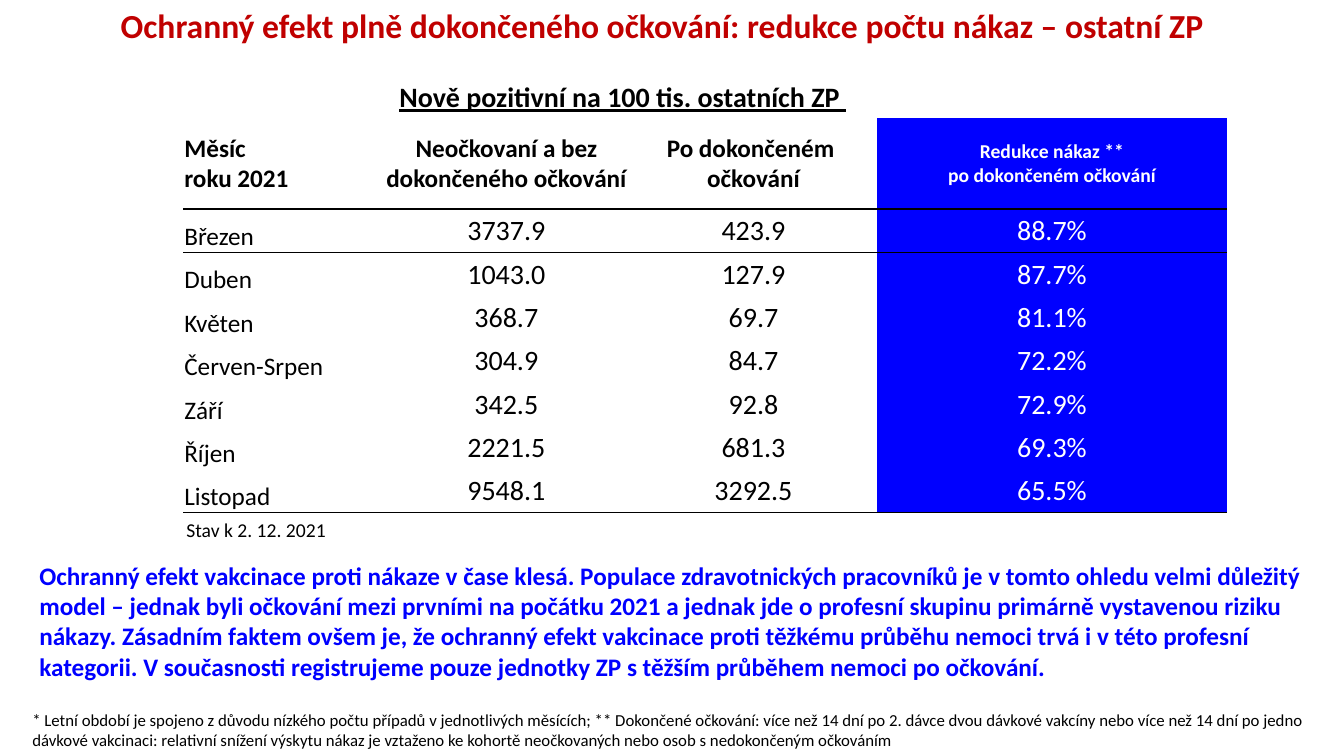
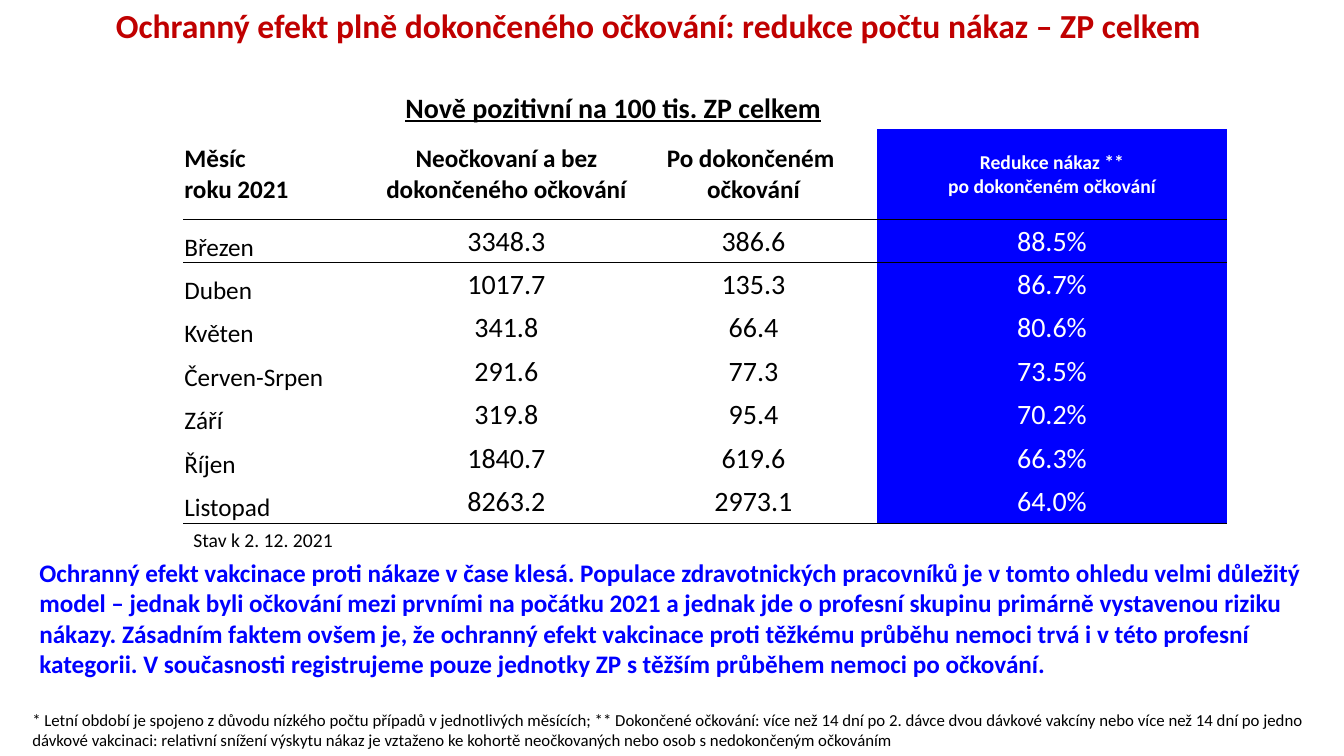
from lxml import etree
from pptx import Presentation
from pptx.dml.color import RGBColor
from pptx.enum import text
from pptx.oxml.ns import qn
from pptx.util import Pt

COLORS = {"title": "C00000", "accent": "0000FF", "ink": "000000", "paper": "FFFFFF"}
FONT = "Calibri"
NO_STYLE_NO_GRID = "{2D5ABB26-0587-4C30-8999-92F81FD0307C}"
CENTER = text.PP_ALIGN.CENTER
MIDDLE, BOTTOM = text.MSO_ANCHOR.MIDDLE, text.MSO_ANCHOR.BOTTOM

# Table grid
TABLE_LEFT = 131
COLUMN_WIDTHS = [142.5, 176.5, 176.5, 250]
ROW_HEIGHT, HEADER_HEIGHT = 31, 65

# Wording shared by the slides
TITLE_START = "Ochranný efekt plně dokončeného očkování: redukce počtu nákaz – "
HEADING_START = "Nově pozitivní na 100 tis. "
HEADERS = [
    "Měsíc\nroku 2021",
    "Neočkovaní a bez dokončeného očkování",
    "Po dokončeném \nočkování",
    "Redukce nákaz **\npo dokončeném očkování",
]
MONTHS = ["Březen", "Duben", "Květen", "Červen-Srpen", "Září", "Říjen", "Listopad"]
STATUS = "Stav k 2. 12. 2021"
CONCLUSION = (
    "Ochranný efekt vakcinace proti nákaze v čase klesá. Populace zdravotnických "
    "pracovníků je v tomto ohledu velmi důležitý model – jednak byli očkování mezi "
    "prvními na počátku 2021 a jednak jde o profesní skupinu primárně vystavenou riziku "
    "nákazy. Zásadním faktem ovšem je, že ochranný efekt vakcinace proti těžkému průběhu "
    "nemoci trvá i v této profesní kategorii. V současnosti registrujeme pouze jednotky "
    "ZP s těžším průběhem nemoci po očkování."
)
FOOTNOTE = (
    "* Letní období je spojeno z důvodu nízkého počtu případů v jednotlivých měsících; "
    "** Dokončené očkování: více než 14 dní po 2. dávce dvou dávkové vakcíny nebo více "
    "než 14 dní po jedno dávkové vakcinaci: relativní snížení výskytu nákaz je vztaženo "
    "ke kohortě neočkovaných nebo osob s nedokončeným očkováním"
)

# What differs: unvaccinated rate, vaccinated rate and reduction for each month
SLIDES = [
    {
        "title": "ostatní ZP",
        "heading": "ostatních ZP ",
        "heading_span": (274.3, 341.3),
        "table_top": 53.3,
        "status_left": 126,
        "conclusion_top": 396.7,
        "rates": [
            ("3737.9", "423.9", "88.7%"),
            ("1043.0", "127.9", "87.7%"),
            ("368.7", "69.7", "81.1%"),
            ("304.9", "84.7", "72.2%"),
            ("342.5", "92.8", "72.9%"),
            ("2221.5", "681.3", "69.3%"),
            ("9548.1", "3292.5", "65.5%"),
        ],
    },
    {
        "title": "ZP celkem ",
        "heading": "ZP celkem",
        "heading_span": (278.6, 319),
        "table_top": 60.8,
        "status_left": 131,
        "conclusion_top": 394.6,
        "rates": [
            ("3348.3", "386.6", "88.5%"),
            ("1017.7", "135.3", "86.7%"),
            ("341.8", "66.4", "80.6%"),
            ("291.6", "77.3", "73.5%"),
            ("319.8", "95.4", "70.2%"),
            ("1840.7", "619.6", "66.3%"),
            ("8263.2", "2973.1", "64.0%"),
        ],
    },
]


def write(frame, wording, size, color="ink", bold=False, underline=None, align=None):
    frame.text = wording
    for paragraph in frame.paragraphs:
        paragraph.alignment = align
        font = paragraph.font
        font.name, font.size, font.bold, font.underline = FONT, Pt(size), bold, underline
        font.color.rgb = RGBColor.from_string(COLORS[color])


def add_title(slide, wording):
    title = slide.shapes.title
    title.left, title.top, title.width, title.height = Pt(16), Pt(3), Pt(914), Pt(104)
    frame = title.text_frame
    frame.auto_size = text.MSO_AUTO_SIZE.NONE
    frame.vertical_anchor = text.MSO_ANCHOR.TOP
    write(frame, wording, 24, "title", bold=True, align=CENTER)
    frame.paragraphs[0].line_spacing = 0.9


def add_text(slide, wording, left, top, width, height, size, **style):
    box = slide.shapes.add_textbox(Pt(left), Pt(top), Pt(width), Pt(height))
    box.text_frame.word_wrap = True
    box.text_frame.auto_size = text.MSO_AUTO_SIZE.SHAPE_TO_FIT_TEXT
    write(box.text_frame, wording, size, **style)


def add_rule(cell, side):
    """Draw a 1 pt line on the top (lnT) or bottom (lnB) edge of a cell."""
    line = etree.Element(qn("a:" + side), w=str(Pt(1)))
    fill = etree.SubElement(line, qn("a:solidFill"))
    etree.SubElement(fill, qn("a:srgbClr"), val=COLORS["ink"])
    cell._tc.get_or_add_tcPr().insert(0, line)


def fill_cell(cell, wording, size, anchor=MIDDLE, highlight=False, **style):
    cell.margin_left = cell.margin_right = cell.margin_top = Pt(0.7)
    cell.margin_bottom = Pt(0)
    cell.vertical_anchor = anchor
    if highlight:
        cell.fill.solid()
        cell.fill.fore_color.rgb = RGBColor.from_string(COLORS["accent"])
    else:
        cell.fill.background()
    write(cell.text_frame, wording, size, "paper" if highlight else "ink", **style)


def add_rates_table(slide, top, rates):
    """Add the monthly table and return the position of its bottom edge."""
    heights = [ROW_HEIGHT, HEADER_HEIGHT] + [ROW_HEIGHT] * len(rates)
    table = slide.shapes.add_table(
        len(heights), len(COLUMN_WIDTHS), Pt(TABLE_LEFT), Pt(top),
        Pt(sum(COLUMN_WIDTHS)), Pt(sum(heights))).table
    table.first_row = table.horz_banding = False
    table._tbl.tblPr.find(qn("a:tableStyleId")).text = NO_STYLE_NO_GRID
    for column, width in zip(table.columns, COLUMN_WIDTHS):
        column.width = Pt(width)
    for row, height in zip(table.rows, heights):
        row.height = Pt(height)

    # Empty row behind the heading
    for cell in table.rows[0].cells:
        cell.fill.background()
    table.cell(0, 2).merge(table.cell(0, 3))

    # Column headers
    last_column = len(HEADERS) - 1
    for c, header in enumerate(HEADERS):
        highlight = c == last_column
        fill_cell(table.cell(1, c), header, 14 if highlight else 18,
                  highlight=highlight, bold=True, align=CENTER if c else None)

    # Months
    for r, (month, values) in enumerate(zip(MONTHS, rates), start=2):
        fill_cell(table.cell(r, 0), month, 18, BOTTOM)
        for c, value in enumerate(values, start=1):
            fill_cell(table.cell(r, c), value, 20, highlight=c == last_column, align=CENTER)

    # Lines under the headers and under the last month
    for r, side in ((1, "lnB"), (2, "lnT"), (len(heights) - 1, "lnB")):
        for cell in table.rows[r].cells:
            add_rule(cell, side)
    return top + sum(heights)


def add_effect_slide(prs, content):
    slide = prs.slides.add_slide(prs.slide_layouts[5])
    add_title(slide, TITLE_START + content["title"])
    left, width = content["heading_span"]
    add_text(slide, HEADING_START + content["heading"], left, content["table_top"], width,
             31.5, 20, bold=True, underline=True, align=CENTER)
    add_text(slide, FOOTNOTE, 16, 503.5, 935, 36, 12)
    bottom = add_rates_table(slide, content["table_top"], content["rates"])
    add_text(slide, STATUS, content["status_left"], bottom, 159, 24, 14)
    add_text(slide, CONCLUSION, 21, content["conclusion_top"], 927, 94.5, 18,
             color="accent", bold=True)


def main():
    prs = Presentation()
    prs.slide_width, prs.slide_height = Pt(960), Pt(540)
    for content in SLIDES:
        add_effect_slide(prs, content)
    prs.save("out.pptx")


if __name__ == "__main__":
    main()
